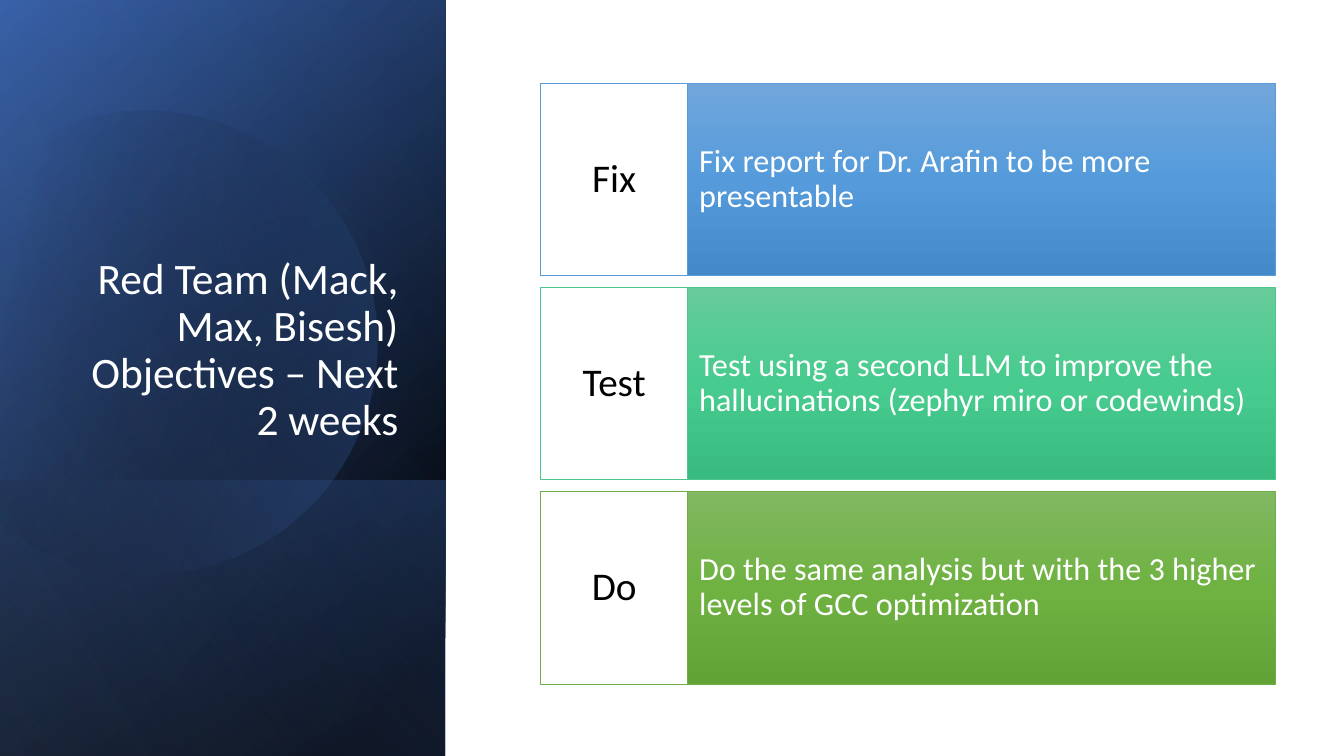
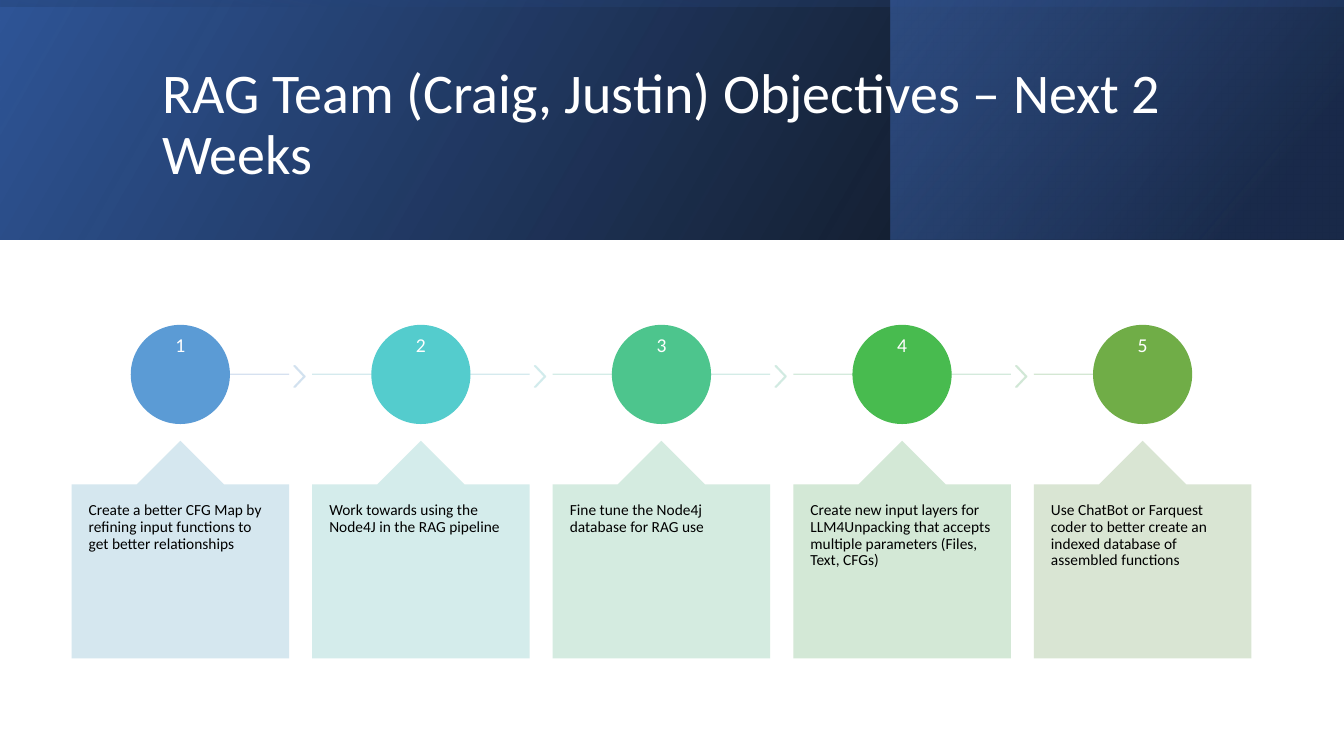
from lxml.etree import SubElement
from pptx import Presentation
from pptx.dml.color import RGBColor
from pptx.enum.shapes import MSO_CONNECTOR, MSO_SHAPE
from pptx.enum.text import MSO_ANCHOR, PP_ALIGN
from pptx.oxml.ns import qn
from pptx.util import Inches, Pt

COLUMNS, ROWS = 80, 45
FONT = "Calibri"
COLORS = {
    "white": "FFFFFF", "black": "000000", "navy": "203864",
    "deep": "2F5597", "royal": "4472C4", "mist": "8FAADC",
    "blue": "5B9BD5", "aqua": "54CCCD", "mint": "4DC58D",
    "leaf": "48BB4F", "olive": "70AD47",
}

OBJECTIVES = [
    ("Fix", "Fix report for Dr. Arafin to be more presentable",
     "blue", ("71A6DB", "559BDB", "448ACA")),
    ("Test", "Test using a second LLM to improve the hallucinations (zephyr miro or codewinds)",
     "mint", ("67CC9A", "47CB8E", "39BB7F")),
    ("Do", "Do the same analysis but with the 3 higher levels of GCC optimization",
     "olive", ("81B861", "6FB242", "62A336")),
]

STEPS = [
    ("Create a better CFG Map by refining input functions to get better relationships",
     "blue", "D1E5EE", "D2DEEF", "D1E1EF"),
    ("Work towards using the Node4J in the RAG pipeline",
     "aqua", "D0EBE9", "D1E8ED", "D1EBEC"),
    ("Fine tune the Node4j database for RAG use",
     "mint", "D0E9DD", "D0EAE5", "D0EAE1"),
    ("Create new input layers for LLM4Unpacking that accepts multiple parameters (Files, Text, CFGs)",
     "leaf", "CFE6D2", "D0E8D9", "D0E7D5"),
    ("Use ChatBot or Farquest coder to better create an indexed database of assembled functions",
     "olive", "D5E3CF", "D0E5CF", None),
]


def rgb(color):
    return RGBColor.from_string(COLORS.get(color, color))


def set_alpha(color_node, percent):
    SubElement(color_node, qn("a:alpha")).set("val", str(percent * 1000))


def fade(shape, percent):
    for color_node in shape.element.iter(qn("a:srgbClr")):
        set_alpha(color_node, percent)


def write_text(frame, text, size, color="white", align=PP_ALIGN.LEFT,
               anchor=MSO_ANCHOR.MIDDLE):
    frame.word_wrap = True
    frame.vertical_anchor = anchor
    para = frame.paragraphs[0]
    para.alignment = align
    para.line_spacing = 0.9
    span = para.add_run()
    span.text = text
    span.font.name = FONT
    span.font.size = Pt(size)
    span.font.color.rgb = rgb(color)


class Board:
    def __init__(self, deck):
        self.deck = deck
        deck.slide_width, deck.slide_height = Inches(40 / 3), Inches(7.5)
        self.cell = deck.slide_height / ROWS
        self.page = None

    def new_page(self):
        self.page = self.deck.slides.add_slide(self.deck.slide_layouts[6])

    def units(self, *lengths):
        return [round(length * self.cell) for length in lengths]

    def pad(self, frame, across, down):
        frame.margin_left = frame.margin_right = self.units(across)[0]
        frame.margin_top = frame.margin_bottom = self.units(down)[0]

    def shape(self, kind, area, fill=None, line=None, width=1, alpha=None,
              adjust=()):
        shape = self.page.shapes.add_shape(kind, *self.units(*area))
        shape.shadow.inherit = False
        for index, value in enumerate(adjust):
            shape.adjustments[index] = value
        if fill:
            shape.fill.solid()
            shape.fill.fore_color.rgb = rgb(fill)
        if line:
            shape.line.color.rgb = rgb(line)
            shape.line.width = Pt(width)
        else:
            shape.line.fill.background()
        if alpha:
            fade(shape, alpha)
        return shape

    def gradient(self, shape, stops, angle):
        shape.fill.gradient()
        shape.fill.gradient_angle = 360 - angle
        stop_list = shape.element.find(".//" + qn("a:gsLst"))
        stop_list.clear()
        for place, color, alpha in stops:
            stop = SubElement(stop_list, qn("a:gs"))
            stop.set("pos", str(place * 1000))
            color_node = SubElement(stop, qn("a:srgbClr"))
            color_node.set("val", COLORS.get(color, color))
            set_alpha(color_node, alpha)

    def band(self, area, stops, angle, turn=0):
        left, top, width, height = area
        if turn:
            shift = (width - height) / 2
            area = (left + shift, top - shift, height, width)
        shape = self.shape(MSO_SHAPE.RECTANGLE, area)
        shape.rotation = turn
        shape.element.spPr.get_or_add_xfrm().set("flipH", "1")
        self.gradient(shape, stops, angle)

    def glow(self, area, chord, stops, angle, turn):
        shape = self.shape(MSO_SHAPE.CHORD, area,
                           adjust=[degree * 0.6 for degree in chord])
        shape.rotation = turn
        self.gradient(shape, stops, angle)

    def text(self, area, text, inset=(0.6, 0.3), **style):
        box = self.page.shapes.add_textbox(*self.units(*area))
        self.pad(box.text_frame, *inset)
        write_text(box.text_frame, text, **style)

    def rule(self, start, end, row, color):
        connector = self.page.shapes.add_connector(
            MSO_CONNECTOR.STRAIGHT, *self.units(start, row, end, row))
        connector.line.color.rgb = rgb(color)
        connector.line.width = Pt(1)
        fade(connector, 90)
        SubElement(connector.element.spPr, qn("a:effectLst"))

    def objective(self, top, label, detail, color, shades):
        height = 11.46
        body = self.shape(MSO_SHAPE.RECTANGLE, (40.94, top, 34.98, height),
                          line=color, width=0.5)
        self.gradient(body, [(place, shade, 100) for place, shade
                             in zip((0, 50, 100), shades)], 90)
        self.pad(body.text_frame, 0.68, 0.3)
        write_text(body.text_frame, detail, 23)
        tag = self.shape(MSO_SHAPE.RECTANGLE, (32.18, top, 8.76, height),
                         fill="white", line=color, width=0.5)
        self.pad(tag.text_frame, 0.48, 0.3)
        write_text(tag.text_frame, label, 28, "black", PP_ALIGN.CENTER)

    def step(self, number, left, detail, color, pale, rule_color, arrow_color):
        width, disc = 12.95, 5.82
        middle = left + width / 2
        start = middle if number == 1 else left
        end = left + width if arrow_color else middle
        self.rule(start, end, 22.28, rule_color)
        if arrow_color:
            self.shape(MSO_SHAPE.CHEVRON, (left + 13.24, 21.78, 0.66, 1.26),
                       arrow_color, arrow_color, alpha=90, adjust=[0.9])
        disc_left = middle - disc / 2
        self.shape(MSO_SHAPE.OVAL, (disc_left, 19.38, disc, disc), color, color)
        self.text((disc_left, 19.74, disc, 1.8), str(number), inset=(0.24, 0.24),
                  size=14, align=PP_ALIGN.CENTER, anchor=MSO_ANCHOR.TOP)
        card = self.shape(MSO_SHAPE.UP_ARROW_CALLOUT, (left, 26.24, width, width),
                          pale, alpha=90, adjust=(0.5, 0.2, 0.2, 1))
        self.pad(card.text_frame, 1.02, 1.08)
        write_text(card.text_frame, detail, 11, "black", anchor=MSO_ANCHOR.TOP)


def build_red_team(board):
    board.new_page()
    panel = (0, 0, 26.52, ROWS)
    board.band(panel, [(8, "black", 100), (100, "deep", 100)], 50, 90)
    board.band(panel, [(0, "black", 0), (99, "royal", 46)], 30, 90)
    board.band((0, 28.6, 26.52, 16.44),
               [(2, "royal", 29), (100, "black", 30)], 130, 90)
    board.glow((-5.16, 6.6, 27.6, 27.6), (243.5, 148.7),
               [(29, "black", 0), (100, "royal", 43)], 30, 343.9)
    board.band(panel, [(0, "black", 0), (99, "mist", 11)], 120, 90)
    board.text((3.84, 11.04, 20.46, 15.72),
               "Red Team (Mack, Max, Bisesh) Objectives – Next 2 weeks",
               size=31, align=PP_ALIGN.RIGHT, anchor=MSO_ANCHOR.BOTTOM)
    for index, objective in enumerate(OBJECTIVES):
        board.objective(4.95 + 12.15 * index, *objective)


def build_rag_team(board):
    board.new_page()
    header = (0, 0, COLUMNS, 14.26)
    board.band(header, [(0, "black", 96), (100, "deep", 100)], 330)
    board.band((53.04, 0, 26.9, 14.26), [(19, "navy", 68), (100, "royal", 48)], 320)
    board.band(header, [(23, "deep", 16), (99, "black", 45)], 350, 270)
    board.text((9.06, 2.32, 63.78, 10.32),
               "RAG Team (Craig, Justin) Objectives – Next 2 Weeks", size=40)
    for index, step in enumerate(STEPS):
        board.step(index + 1, 4.26 + 14.32 * index, *step)


def main():
    deck = Presentation()
    board = Board(deck)
    build_red_team(board)
    build_rag_team(board)
    deck.save("out.pptx")


if __name__ == "__main__":
    main()
